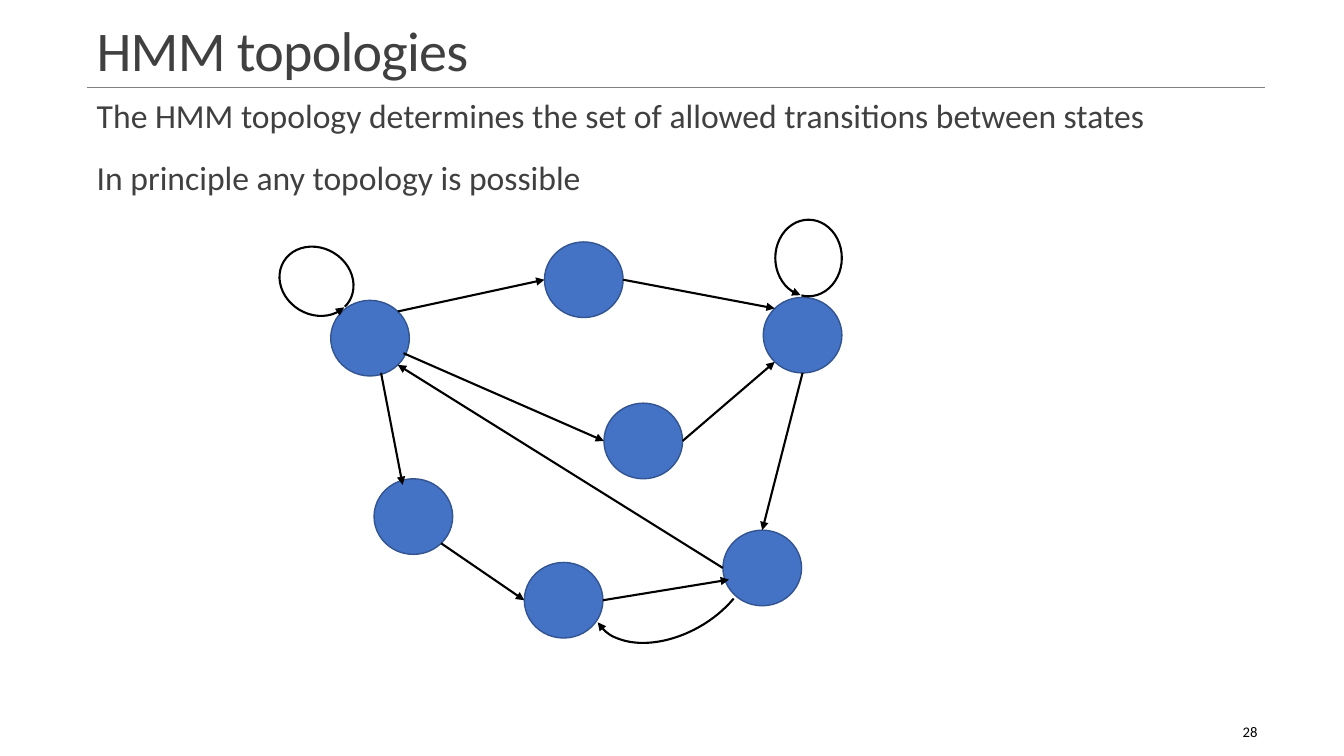
from dataclasses import dataclass
from math import cos, radians, sin
from typing import NamedTuple

from lxml.etree import SubElement
from pptx import Presentation
from pptx.dml.color import RGBColor
from pptx.enum.shapes import MSO_CONNECTOR as Connector, MSO_SHAPE as Preset
from pptx.enum.text import MSO_ANCHOR as Anchor, PP_ALIGN as Align
from pptx.oxml.ns import qn
from pptx.util import Inches, Pt


@dataclass(frozen=True)
class Theme:
    font: str = "Calibri"
    text: RGBColor = RGBColor(0x40, 0x40, 0x40)
    ink: RGBColor = RGBColor(0, 0, 0)
    rule: RGBColor = RGBColor(0x80, 0x80, 0x80)
    state_fill: RGBColor = RGBColor(0x44, 0x72, 0xC4)
    state_line: RGBColor = RGBColor(0x32, 0x54, 0x91)
    title_size: float = 40
    body_size: float = 24
    number_size: float = 10.5
    rule_width: float = 0.5
    state_width: float = 1
    arrow_width: float = 1.5


class Box(NamedTuple):
    left: float
    top: float
    width: float
    height: float

    def emu(self) -> list:
        return [Inches(value) for value in self]


class Point(NamedTuple):
    x: float
    y: float


class State(NamedTuple):
    left: float
    top: float


class Port(NamedTuple):
    """Place on a state: clockwise angle from east, reach as a share of the radius."""
    state: str
    angle: float
    reach: float = 1


class Transition(NamedTuple):
    source: Port
    target: Port


class Arc(NamedTuple):
    """Curved arrow; start and end are clockwise degrees from east, before rotation."""
    box: Box
    start: float
    end: float
    rotation: float
    arrow: str


THEME = Theme()
STATE_WIDTH, STATE_HEIGHT = 0.78, 0.75
EAST, SOUTH_EAST, SOUTH, SOUTH_WEST = 0, 45, 90, 135
WEST, NORTH_WEST, NORTH, NORTH_EAST = 180, 225, 270, 315

STATES = {
    "left": State(3.28, 2.98),
    "top": State(5.4, 2.4),
    "right": State(7.57, 2.95),
    "centre": State(5.99, 4),
    "lower left": State(3.71, 4.75),
    "bottom": State(5.2, 5.58),
    "lower right": State(7.17, 5.26),
}
TRANSITIONS = [
    Transition(Port("left", NORTH_EAST), Port("top", WEST)),
    Transition(Port("top", EAST), Port("right", NORTH_WEST)),
    Transition(Port("left", 25, 0.94), Port("centre", WEST)),
    Transition(Port("centre", EAST), Port("right", SOUTH_WEST)),
    Transition(Port("right", SOUTH), Port("lower right", NORTH)),
    Transition(Port("lower right", WEST), Port("left", SOUTH_EAST)),
    Transition(Port("left", 73, 0.96), Port("lower left", 252, 0.88)),
    Transition(Port("lower left", SOUTH_EAST), Port("bottom", WEST)),
    Transition(Port("bottom", EAST), Port("lower right", 160, 0.9)),
]
ARCS = [
    Arc(Box(5.81, 5.19, 1.71, 1.1), 227.53, 359.15, 150.4, "tailEnd"),
    Arc(Box(2.81, 2.41, 0.66, 0.76), 102.19, 100.81, 301.1, "headEnd"),
    Arc(Box(7.69, 2.18, 0.66, 0.76), 102.19, 100.81, 0, "headEnd"),
]
BODY = [
    "The HMM topology determines the set of allowed transitions between states",
    "In principle any topology is possible",
]


def add_text_box(slide, box: Box, anchor: Anchor, side_inset: float = 0.1):
    frame = slide.shapes.add_textbox(*box.emu()).text_frame
    frame.word_wrap = True
    frame.vertical_anchor = anchor
    frame.margin_left = frame.margin_right = Inches(side_inset)
    return frame


def add_run(paragraph, text: str, size: float, color: RGBColor):
    run = paragraph.add_run()
    run.text = text
    run.font.name = THEME.font
    run.font.size = Pt(size)
    run.font.color.rgb = color
    return run


def add_title(slide, text: str) -> None:
    paragraph = add_text_box(slide, Box(0.86, 0.13, 11.7, 0.74), Anchor.BOTTOM).paragraphs[0]
    paragraph.line_spacing = 0.85
    run = add_run(paragraph, text, THEME.title_size, THEME.text)
    run.font._element.set("spc", "-50")


def add_body(slide, lines: list[str]) -> None:
    frame = add_text_box(slide, Box(0.86, 0.94, 11.7, 5.95), Anchor.TOP, 0)
    for index, line in enumerate(lines):
        paragraph = frame.add_paragraph() if index else frame.paragraphs[0]
        paragraph._p.get_or_add_pPr().set("marL", str(Inches(0.1)))
        paragraph.line_spacing = 0.9
        paragraph.space_before = Pt(12 if index else 0)
        paragraph.space_after = Pt(6)
        add_run(paragraph, line, THEME.body_size, THEME.text)


def add_slide_number(slide, number: str) -> None:
    paragraph = add_text_box(slide, Box(11.14, 7.06, 1.43, 0.4), Anchor.MIDDLE).paragraphs[0]
    paragraph.alignment = Align.RIGHT
    add_run(paragraph, number, THEME.number_size, THEME.ink)


def style_line(line, color: RGBColor, width: float) -> None:
    line.color.rgb = color
    line.width = Pt(width)


def add_arrowhead(shape, end: str) -> None:
    SubElement(shape.line._get_or_add_ln(), qn(f"a:{end}"), type="triangle")


def add_line(slide, start: Point, end: Point, color: RGBColor, width: float):
    line = slide.shapes.add_connector(
        Connector.STRAIGHT, *[Inches(value) for value in (*start, *end)])
    style_line(line.line, color, width)
    SubElement(line._element.spPr, qn("a:effectLst"))
    return line


def add_state(slide, state: State) -> None:
    box = Box(state.left, state.top, STATE_WIDTH, STATE_HEIGHT)
    circle = slide.shapes.add_shape(Preset.OVAL, *box.emu())
    circle.shadow.inherit = False
    circle.fill.solid()
    circle.fill.fore_color.rgb = THEME.state_fill
    style_line(circle.line, THEME.state_line, THEME.state_width)


def locate(port: Port) -> Point:
    state, angle = STATES[port.state], radians(port.angle)
    return Point(state.left + STATE_WIDTH / 2 * (1 + port.reach * cos(angle)),
                 state.top + STATE_HEIGHT / 2 * (1 + port.reach * sin(angle)))


def add_transition(slide, transition: Transition) -> None:
    arrow = add_line(slide, locate(transition.source), locate(transition.target),
                     THEME.ink, THEME.arrow_width)
    add_arrowhead(arrow, "tailEnd")


def add_arc(slide, arc: Arc) -> None:
    shape = slide.shapes.add_shape(Preset.ARC, *arc.box.emu())
    shape.shadow.inherit = False
    shape.fill.background()
    shape.rotation = arc.rotation
    for index, degrees in enumerate((arc.start, arc.end)):
        shape.adjustments[index] = degrees * 0.6  # 60000 units a degree, scaled by 100000
    style_line(shape.line, THEME.ink, THEME.arrow_width)
    add_arrowhead(shape, arc.arrow)


def main() -> None:
    presentation = Presentation()
    presentation.slide_width, presentation.slide_height = Inches(13.33), Inches(7.5)
    slide = presentation.slides.add_slide(presentation.slide_layouts[6])
    add_line(slide, Point(0.86, 0.87), Point(12.55, 0.87), THEME.rule, THEME.rule_width)
    add_title(slide, "HMM topologies")
    add_body(slide, BODY)
    for state in STATES.values():
        add_state(slide, state)
    for transition in TRANSITIONS:
        add_transition(slide, transition)
    for arc in ARCS:
        add_arc(slide, arc)
    add_slide_number(slide, "28")
    presentation.save("out.pptx")


if __name__ == "__main__":
    main()
